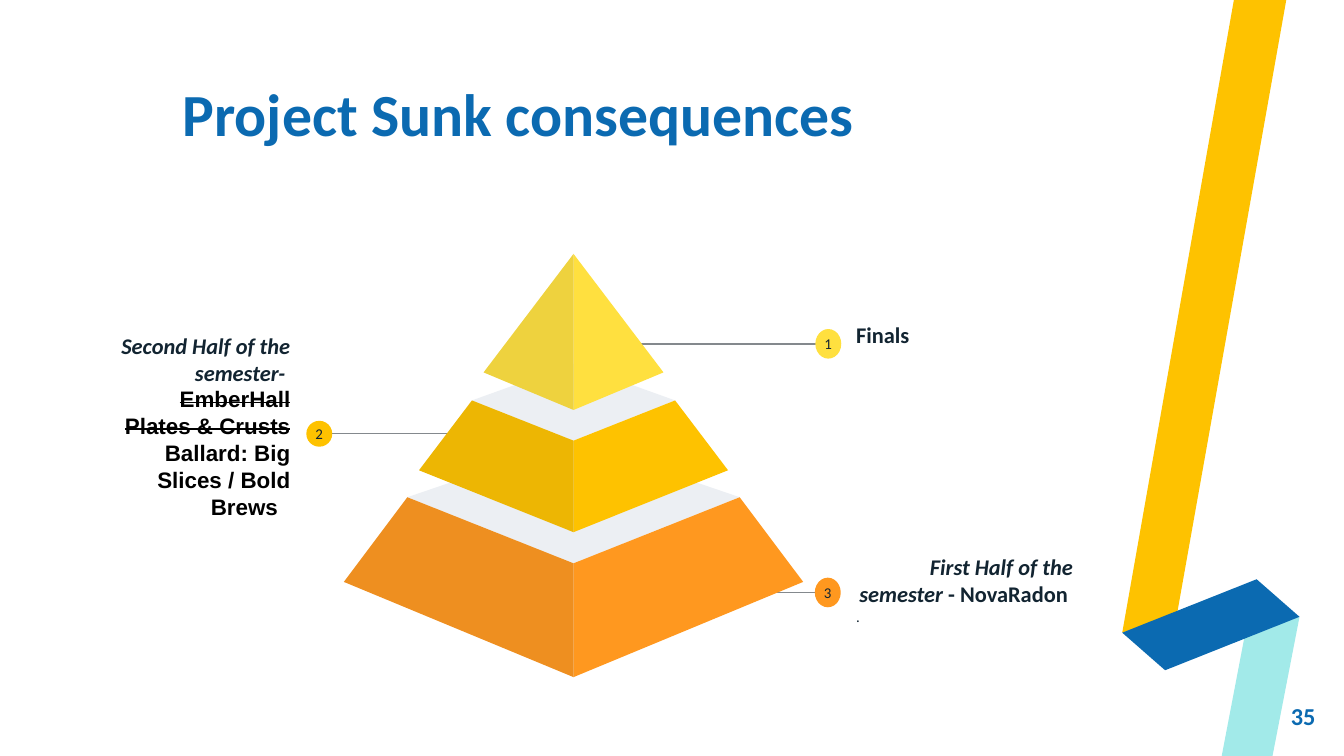
from collections import namedtuple

from lxml import etree
from pptx import Presentation
from pptx.dml.color import RGBColor
from pptx.enum.shapes import MSO_CONNECTOR, MSO_SHAPE
from pptx.enum.text import MSO_ANCHOR, PP_ALIGN
from pptx.oxml.ns import qn
from pptx.util import Cm, Pt

STRAIGHT = MSO_CONNECTOR.STRAIGHT
OVAL = MSO_SHAPE.OVAL
MIDDLE, BOTTOM = MSO_ANCHOR.MIDDLE, MSO_ANCHOR.BOTTOM
LEFT, CENTER, RIGHT = PP_ALIGN.LEFT, PP_ALIGN.CENTER, PP_ALIGN.RIGHT

BLUE = RGBColor(0x0B, 0x6A, 0xB1)
AQUA = RGBColor(0xA2, 0xEA, 0xE9)
GOLD = RGBColor(0xFE, 0xC2, 0x00)
YELLOW = RGBColor(0xFF, 0xE0, 0x3F)
ORANGE = RGBColor(0xFF, 0x98, 0x1F)
PALE = RGBColor(0xEC, 0xEF, 0xF3)
INK = RGBColor(0x12, 0x24, 0x31)
GRAY = RGBColor(0x84, 0x89, 0x8D)
BLACK = RGBColor(0, 0, 0)

Box = namedtuple("Box", "left top width height")
Words = namedtuple("Words", "text italic struck font color",
                   defaults=(False, False, "Calibri", INK))
Tier = namedtuple("Tier", "color shoulder shoulder_y inner_y base base_y nose_y back_y")

TIERS = [
    Tier(ORANGE, 3.14, 4.6, 5.85, 4.34, 6.2, 8, 3.53),
    Tier(GOLD, 1.92, 2.77, 3.53, 2.92, 4.09, 5.26, 2.08),
    Tier(YELLOW, 0, 0, 0, 1.7, 2.24, 2.95, None),
]


def add_polygon(slide, box, points, color, opacity=None):
    corners = [(Cm(box.left + x), Cm(box.top + y)) for x, y in points]
    builder = slide.shapes.build_freeform(*corners[0])
    builder.add_line_segments(corners[1:], close=True)
    shape = builder.convert_to_shape()
    shape.shadow.inherit = False
    shape.fill.solid()
    shape.fill.fore_color.rgb = color
    shape.line.fill.background()
    if opacity is not None:
        color_element = shape.fill._xPr.find(qn("a:solidFill"))[0]
        etree.SubElement(color_element, qn("a:alpha"), val=str(opacity * 1000))


def set_margins(frame, margin):
    frame.margin_left = frame.margin_right = Cm(margin)
    frame.margin_top = frame.margin_bottom = Cm(margin)


def add_text_box(slide, box, anchor, margin=0):
    frame = slide.shapes.add_textbox(*map(Cm, box)).text_frame
    frame.word_wrap = True
    frame.vertical_anchor = anchor
    set_margins(frame, margin)
    return frame


def style_paragraph(paragraph, size, color, bold=False, alignment=LEFT):
    paragraph.alignment = alignment
    font = paragraph.font
    font.name, font.size, font.bold = "Calibri", Pt(size), bold
    font.color.rgb = color


def add_ribbon(slide, box):
    right, bottom = box.width, box.height
    add_polygon(slide, box, [(2.11, 0), (3.1, 0), (1.04, 11.58), (0, 11.96)], GOLD)
    add_polygon(slide, box, [(1.88, bottom), (2.31, 12.04), (right, 11.66), (2.84, bottom)], AQUA)
    add_polygon(slide, box, [(0, 11.96), (2.54, 10.95), (right, 11.66), (0.81, 12.67)], BLUE)


def add_title(slide, box, text):
    paragraph = add_text_box(slide, box, BOTTOM).paragraphs[0]
    paragraph.text = text
    paragraph.line_spacing = 0.8
    style_paragraph(paragraph, 32, BLUE, bold=True)


def add_page_number(slide, box, number):
    paragraph = add_text_box(slide, box, MIDDLE).paragraphs[0]
    paragraph.text = number
    style_paragraph(paragraph, 13, BLUE, bold=True, alignment=RIGHT)


def add_pyramid(slide, box):
    axis = box.width / 2
    for tier in TIERS:
        if tier.back_y is not None:
            lid = [(axis - tier.shoulder, tier.shoulder_y), (axis, tier.inner_y),
                   (axis + tier.shoulder, tier.shoulder_y), (axis, tier.back_y)]
            add_polygon(slide, box, lid, PALE)
        left_face, right_face = [
            [(axis + side * tier.shoulder, tier.shoulder_y),
             (axis + side * tier.base, tier.base_y),
             (axis, tier.nose_y), (axis, tier.inner_y)]
            for side in (-1, 1)]
        add_polygon(slide, box, left_face, tier.color)
        add_polygon(slide, box, right_face, tier.color)
        add_polygon(slide, box, left_face, INK, opacity=7)


def add_badge(slide, box, number, color):
    badge = slide.shapes.add_shape(OVAL, *map(Cm, box))
    badge.shadow.inherit = False
    badge.fill.solid()
    badge.fill.fore_color.rgb = color
    badge.line.fill.background()
    frame = badge.text_frame
    frame.word_wrap = False
    frame.vertical_anchor = MIDDLE
    set_margins(frame, 0)
    paragraph = frame.paragraphs[0]
    paragraph.text = number
    style_paragraph(paragraph, 8, INK, alignment=CENTER)


def add_leader(slide, start_x, end_x, y):
    leader = slide.shapes.add_connector(STRAIGHT, Cm(start_x), Cm(y), Cm(end_x), Cm(y))
    leader.line.color.rgb = GRAY
    leader.line.width = Pt(0.75)
    etree.SubElement(leader._element.spPr, qn("a:effectLst"))


def add_callout(slide, box, number, color, face_x, badge_x, badge_y, badge_height,
                lines, alignment):
    middle = box.top + badge_y
    badge = Box(box.left + badge_x, middle - badge_height / 2, 0.49, badge_height)
    add_leader(slide, box.left + face_x, badge.left + badge.width / 2, middle)
    add_badge(slide, badge, number, color)

    frame = add_text_box(slide, box, MIDDLE, margin=0.25)
    paragraph = frame.paragraphs[0]
    style_paragraph(paragraph, 12, INK, bold=True, alignment=alignment)
    for index, line in enumerate(lines):
        if index:
            paragraph.add_line_break()
        for words in line:
            run = paragraph.add_run()
            run.text = words.text
            run.font.italic = words.italic
            run.font.name = words.font
            run.font.color.rgb = words.color
            if words.struck:
                run._r.get_or_add_rPr().set("strike", "sngStrike")
    return frame


def main():
    presentation = Presentation()
    presentation.slide_width, presentation.slide_height = Cm(25.4), Cm(14.29)
    slide = presentation.slides.add_slide(presentation.slide_layouts[6])

    add_ribbon(slide, Box(21.21, 0, 3.35, 14.29))
    add_title(slide, Box(3.45, 1.5, 14.66, 1.3), "Project Sunk consequences")
    add_page_number(slide, Box(23.34, 12.98, 1.52, 1.09), "35")

    first_half = add_callout(
        slide, Box(15.93, 9.22, 4.6, 3.84), "3", ORANGE, -1.48, -0.53, 1.98, 0.56,
        [[Words("First Half of the semester", italic=True), Words(" - NovaRadon\u00a0")]], RIGHT)
    dot = first_half.add_paragraph()
    dot.text = "."
    dot.space_after = Pt(16)
    style_paragraph(dot, 8, INK)

    add_callout(
        slide, Box(1.14, 6.35, 4.6, 3.4), "2", GOLD, 7.37, 4.65, 1.85, 0.49,
        [[Words("Second Half of the semester-\u00a0", italic=True)],
         [Words("EmberHall", False, True, "Arial", BLACK)],
         [Words("Plates &\u00a0Crusts", False, True, "Arial", BLACK)],
         [Words("Ballard: Big Slices /\u00a0Bold Brews\u00a0\u00a0", False, False, "Arial", BLACK)]],
        RIGHT)
    add_callout(
        slide, Box(15.93, 4.4, 4.6, 3.84), "1", YELLOW, -4.27, -0.52, 2.1, 0.56,
        [[Words("Finals")]], LEFT)

    add_pyramid(slide, Box(6.5, 4.8, 8.68, 8))
    presentation.save("out.pptx")


if __name__ == "__main__":
    main()
